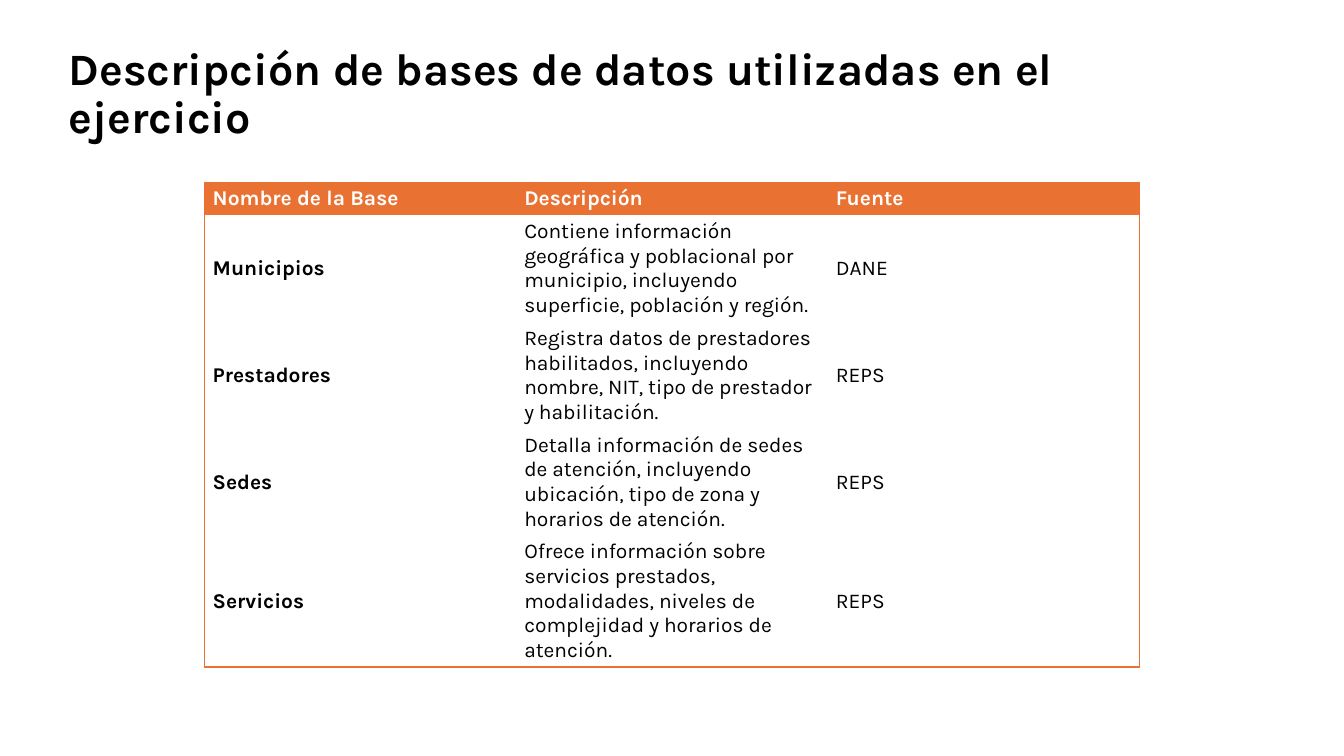
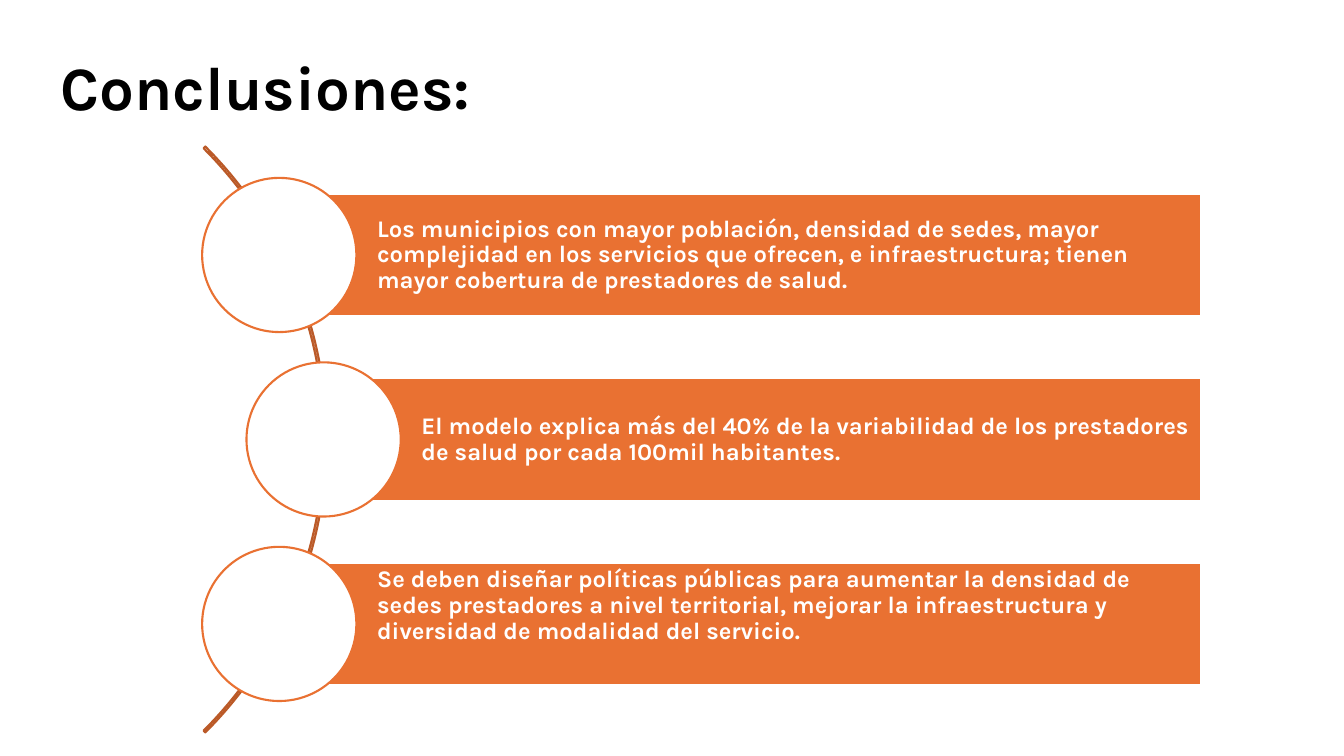
from pptx import Presentation
from pptx.dml.color import RGBColor
from pptx.enum.shapes import MSO_SHAPE
from pptx.enum.text import MSO_ANCHOR, MSO_AUTO_SIZE, PP_ALIGN
from pptx.oxml import parse_xml
from pptx.oxml.ns import nsdecls, qn
from pptx.util import Inches, Pt

# Shared style
FONT = "Karla"
ORANGE, BROWN, WHITE, BLACK = "E97132", "BB5A28", "FFFFFF", "000000"
PLAIN_TABLE_STYLE = "{2D5ABB26-0587-4C30-8999-92F81FD0307C}"

# Content
DATABASE_TITLE = "Descripción de bases de datos utilizadas en el ejercicio"
DATABASES = [
    ("Nombre de la Base", "Descripción", "Fuente"),
    ("Municipios", "Contiene información geográfica y poblacional por municipio, "
     "incluyendo superficie, población y región.", "DANE"),
    ("Prestadores", "Registra datos de prestadores habilitados, incluyendo nombre, "
     "NIT, tipo de prestador y habilitación.", "REPS"),
    ("Sedes", "Detalla información de sedes de atención, incluyendo ubicación, "
     "tipo de zona y horarios de atención.", "REPS"),
    ("Servicios", "Ofrece información sobre servicios prestados, modalidades, "
     "niveles de complejidad y horarios de atención.", "REPS"),
]
ROW_HEIGHTS = [0.32, 1.05, 1.05, 1.05, 1.29]
COLUMN_WIDTH = 3.09

CONCLUSIONS_TITLE = "Conclusiones:"
# Text, left edge of the band, vertical anchor
CONCLUSIONS = [
    ("Los municipios con mayor población, densidad de sedes, mayor complejidad en los "
     "servicios que ofrecen, e infraestructura; tienen mayor cobertura de prestadores "
     "de salud.", 2.77, MSO_ANCHOR.MIDDLE),
    ("El modelo explica más del 40% de la variabilidad de los prestadores de salud por "
     "cada 100mil habitantes.", 3.21, MSO_ANCHOR.MIDDLE),
    ("Se deben diseñar políticas públicas para aumentar la densidad de sedes prestadores "
     "a nivel territorial, mejorar la infraestructura y diversidad de modalidad del "
     "servicio.", 2.77, MSO_ANCHOR.TOP),
]
BAND_RIGHT, BAND_HEIGHT = 11.91, 1.22
FIRST_CENTER, BAND_PITCH = 2.53, 1.83
CIRCLE_SIZE = 1.53
ARC_BOX = (-4.98, 0.25, 8.22, 8.22)


def color(value):
    return RGBColor.from_string(value)


def format_paragraph(paragraph, size, text_color, bold):
    paragraph.alignment = PP_ALIGN.LEFT
    font = paragraph.font
    font.name, font.size, font.bold = FONT, Pt(size), bold
    font.color.rgb = color(text_color)


def add_slide(presentation, title_text, box, size):
    slide = presentation.slides.add_slide(presentation.slide_layouts[5])
    title = slide.shapes.title
    title.left, title.top, title.width, title.height = map(Inches, box)
    frame = title.text_frame
    frame.text = title_text
    frame.word_wrap = True
    frame.auto_size = MSO_AUTO_SIZE.NONE
    frame.vertical_anchor = MSO_ANCHOR.MIDDLE
    format_paragraph(frame.paragraphs[0], size, BLACK, True)
    frame.paragraphs[0].line_spacing = 0.9
    return slide


def add_figure(slide, kind, box, fill, line):
    shape = slide.shapes.add_shape(kind, *map(Inches, box))
    shape.shadow.inherit = False
    if fill:
        shape.fill.solid()
        shape.fill.fore_color.rgb = color(fill)
    else:
        shape.fill.background()
    shape.line.color.rgb = color(line)
    shape.line.width = Pt(1.5)
    return shape


def add_borders(cell, sides):
    properties = cell._tc.get_or_add_tcPr()
    for side in sides:
        properties.append(parse_xml(
            f'<a:ln{side} {nsdecls("a")} w="12700"><a:solidFill>'
            f'<a:srgbClr val="{ORANGE}"/></a:solidFill></a:ln{side}>'))


def build_databases(presentation):
    slide = add_slide(presentation, DATABASE_TITLE, (0.58, 0.62, 10.16, 0.65), 32)
    row_count, column_count = len(DATABASES), len(DATABASES[0])
    frame = slide.shapes.add_table(
        row_count, column_count, Inches(2.03), Inches(1.81),
        Inches(COLUMN_WIDTH * column_count), Inches(sum(ROW_HEIGHTS)))
    table = frame.table
    table.horz_banding = False
    next(frame.element.iter(qn("a:tableStyleId"))).text = PLAIN_TABLE_STYLE
    for column in table.columns:
        column.width = Inches(COLUMN_WIDTH)
    for row, height in zip(table.rows, ROW_HEIGHTS):
        row.height = Inches(height)

    for r, values in enumerate(DATABASES):
        for c, value in enumerate(values):
            cell = table.cell(r, c)
            cell.text = value
            cell.vertical_anchor = MSO_ANCHOR.MIDDLE
            cell.margin_left = cell.margin_right = Inches(0.08)
            cell.margin_top = cell.margin_bottom = Inches(0.04)
            header = r == 0
            format_paragraph(cell.text_frame.paragraphs[0], 15,
                             WHITE if header else BLACK, header or c == 0)
            # Only the outer edge of the table is ruled
            edges = {"L": c == 0, "R": c == column_count - 1,
                     "T": header, "B": r == row_count - 1}
            add_borders(cell, [side for side, outer in edges.items() if outer])
            if header:
                cell.fill.solid()
                cell.fill.fore_color.rgb = color(ORANGE)
            else:
                cell.fill.background()


def build_conclusions(presentation):
    slide = add_slide(presentation, CONCLUSIONS_TITLE, (0.5, 0.17, 11.5, 1.45), 44)

    # Arc from 315 to 45 degrees behind the circles
    arc = add_figure(slide, MSO_SHAPE.BLOCK_ARC, ARC_BOX, None, BROWN)
    for index, value in enumerate((189, 27, 0.003)):
        arc.adjustments[index] = value

    for index, (text, left, anchor) in enumerate(CONCLUSIONS):
        center = FIRST_CENTER + index * BAND_PITCH
        # Band with its text
        band = add_figure(
            slide, MSO_SHAPE.RECTANGLE,
            (left, center - BAND_HEIGHT / 2, BAND_RIGHT - left, BAND_HEIGHT),
            ORANGE, WHITE)
        frame = band.text_frame
        frame.text = text
        frame.word_wrap = True
        frame.vertical_anchor = anchor
        frame.margin_left = Inches(0.97)
        frame.margin_right = frame.margin_top = frame.margin_bottom = Inches(0.05)
        format_paragraph(frame.paragraphs[0], 17, WHITE, True)
        frame.paragraphs[0].line_spacing = 0.9
        # Circle centred on the left edge of the band
        radius = CIRCLE_SIZE / 2
        add_figure(slide, MSO_SHAPE.OVAL,
                   (left - radius, center - radius, CIRCLE_SIZE, CIRCLE_SIZE),
                   WHITE, ORANGE)


def main():
    presentation = Presentation()
    presentation.slide_width = Inches(13.33)
    presentation.slide_height = Inches(7.5)
    build_databases(presentation)
    build_conclusions(presentation)
    presentation.save("out.pptx")


if __name__ == "__main__":
    main()
